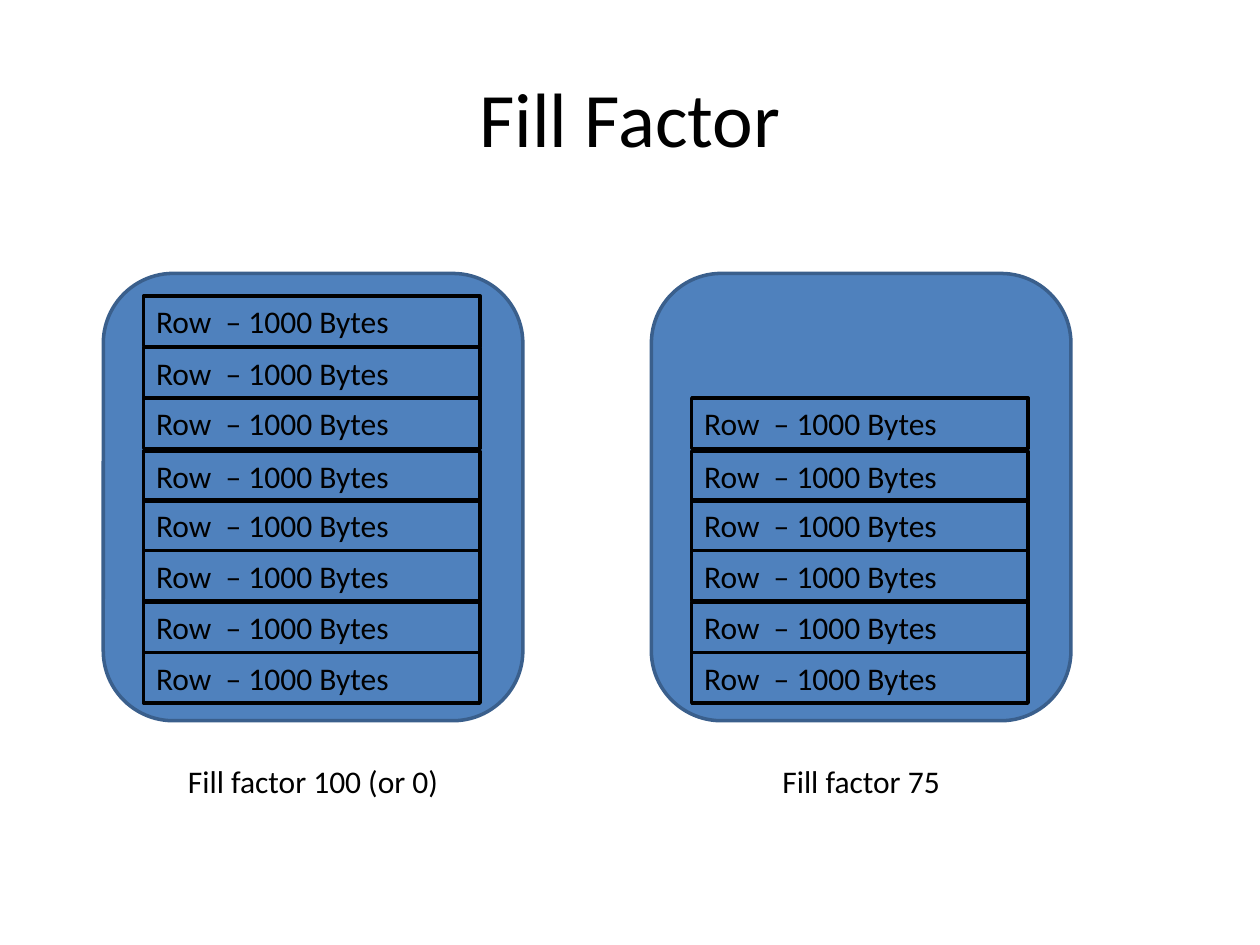
from pptx import Presentation
from pptx.dml.color import RGBColor
from pptx.enum.shapes import MSO_SHAPE
from pptx.enum.text import MSO_ANCHOR, PP_ALIGN
from pptx.util import Inches, Pt

BLACK = RGBColor(0x00, 0x00, 0x00)
PAGE_BLUE = RGBColor(0x4F, 0x81, 0xBD)
PAGE_EDGE = RGBColor(0x3A, 0x5F, 0x8C)


def write(shape, text, size, align, anchor):
    frame = shape.text_frame
    frame.word_wrap = True
    frame.vertical_anchor = anchor
    paragraph = frame.paragraphs[0]
    paragraph.alignment = align
    run = paragraph.add_run()
    run.text = text
    run.font.size = Pt(size)
    run.font.name = "Calibri"
    run.font.color.rgb = BLACK


def add_box(shapes, kind, left, top, width, height, edge):
    box = shapes.add_shape(kind, Inches(left), Inches(top), Inches(width), Inches(height))
    box.shadow.inherit = False
    box.line.color.rgb = edge
    box.line.width = Pt(2)
    return box


prs = Presentation()
prs.slide_width = Inches(10)
prs.slide_height = Inches(7.5)
slide = prs.slides.add_slide(prs.slide_layouts[5])

title = slide.shapes.title
title.left, title.top = Inches(0.5), Inches(0.3)
title.width, title.height = Inches(9), Inches(1.25)
write(title, "Fill Factor", 44, PP_ALIGN.CENTER, MSO_ANCHOR.MIDDLE)

ROW_TOPS = [5.18, 4.78, 4.37, 3.97, 3.58, 3.16, 2.76, 2.35]
PAGES = [
    (0.82, 8, "Fill factor 100 (or 0)", 1.04, 2.89),
    (5.17, 6, "Fill factor 75", 5.17, 3.33),
]

for page_left, row_count, caption, caption_left, caption_width in PAGES:
    group = slide.shapes.add_group_shape()
    page = add_box(group.shapes, MSO_SHAPE.ROUNDED_RECTANGLE,
                   page_left, 2.17, 3.33, 3.55, PAGE_EDGE)
    page.fill.solid()
    page.fill.fore_color.rgb = PAGE_BLUE
    for row_top in ROW_TOPS[:row_count]:
        row = add_box(group.shapes, MSO_SHAPE.RECTANGLE,
                      page_left + 0.32, row_top, 2.67, 0.4, BLACK)
        row.fill.background()
        write(row, "Row  – 1000 Bytes", 18, PP_ALIGN.LEFT, MSO_ANCHOR.TOP)
    label = slide.shapes.add_textbox(Inches(caption_left), Inches(6),
                                     Inches(caption_width), Inches(0.4))
    write(label, caption, 18, PP_ALIGN.CENTER, MSO_ANCHOR.TOP)

prs.save("out.pptx")
